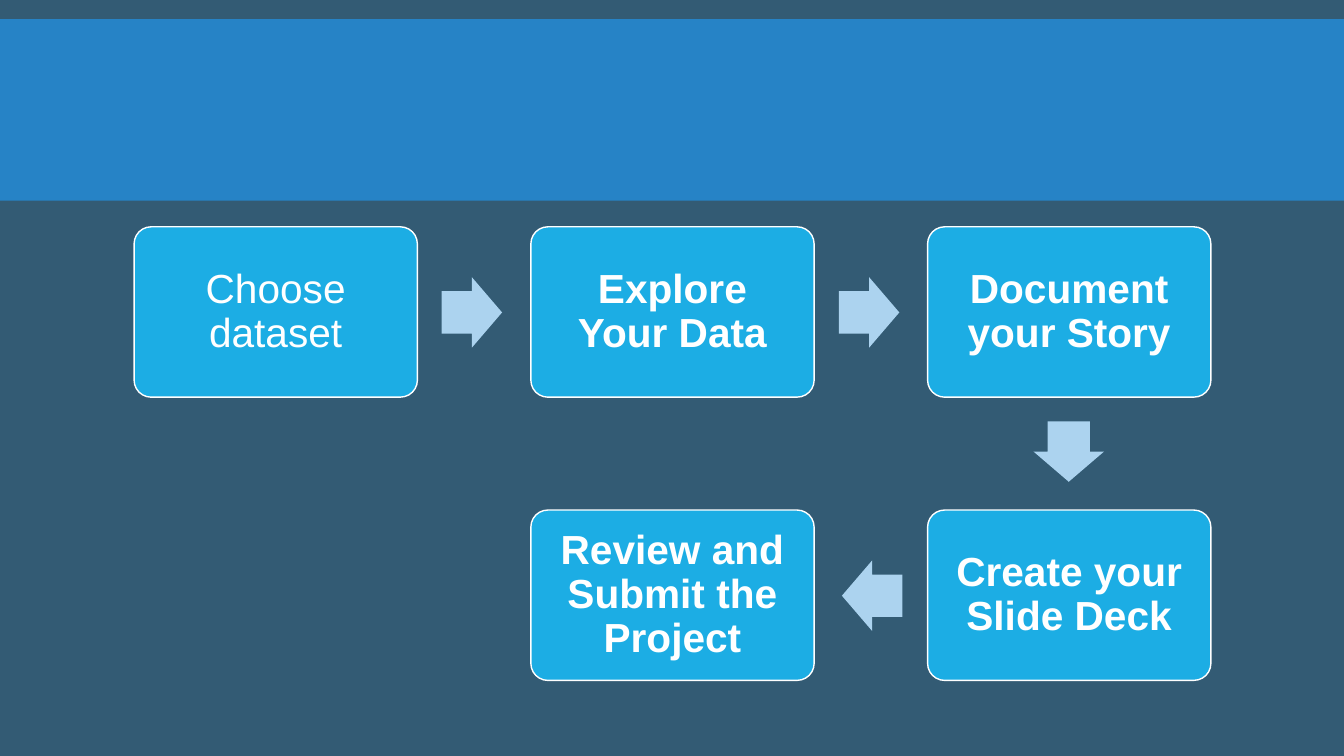
"""Build a slide showing the five steps of a data project as a bending process."""
from dataclasses import dataclass

from pptx import Presentation
from pptx.dml.color import RGBColor
from pptx.enum.shapes import MSO_SHAPE
from pptx.enum.text import MSO_ANCHOR, PP_ALIGN
from pptx.util import Inches, Pt


@dataclass(frozen=True)
class Theme:
    background: RGBColor = RGBColor.from_string("335B74")
    band: RGBColor = RGBColor.from_string("2683C6")
    step: RGBColor = RGBColor.from_string("1CADE4")
    arrow: RGBColor = RGBColor.from_string("ACD3EF")
    light: RGBColor = RGBColor.from_string("FFFFFF")
    font: str = "Arial"
    step_size: Pt = Pt(29)


theme = Theme()

deck = Presentation()
deck.slide_width = Inches(13.33)
deck.slide_height = Inches(7.5)
page = deck.slides.add_slide(deck.slide_layouts[6])
page.background.fill.solid()
page.background.fill.fore_color.rgb = theme.background


def add_filled_shape(kind, left, top, width, height, color):
    """Add a flat shape without outline, measured in inches."""
    shape = page.shapes.add_shape(
        kind, Inches(left), Inches(top), Inches(width), Inches(height)
    )
    shape.shadow.inherit = False
    shape.fill.solid()
    shape.fill.fore_color.rgb = color
    shape.line.fill.background()
    return shape


add_filled_shape(MSO_SHAPE.RECTANGLE, 0, 0.19, 13.33, 1.8, theme.band)

first_left, first_top = 1.33, 2.25
column_pitch, row_pitch = 3.935, 2.81
step_width, step_height = 2.81, 1.69

steps = [
    ("Choose dataset", 0, 0, False),
    ("Explore Your Data", 1, 0, True),
    ("Document your Story", 2, 0, True),
    ("Create your Slide Deck", 2, 1, True),
    ("Review and Submit the Project", 1, 1, True),
]
for label, column, row, bold in steps:
    box = add_filled_shape(
        MSO_SHAPE.ROUNDED_RECTANGLE,
        first_left + column * column_pitch,
        first_top + row * row_pitch,
        step_width,
        step_height,
        theme.step,
    )
    box.adjustments[0] = 0.1
    box.line.color.rgb = theme.light
    box.line.width = Pt(1)
    frame = box.text_frame
    frame.word_wrap = True
    frame.vertical_anchor = MSO_ANCHOR.MIDDLE
    frame.margin_left = frame.margin_right = Inches(0.12)
    frame.margin_top = frame.margin_bottom = Inches(0.12)
    para = frame.paragraphs[0]
    para.text = label
    para.alignment = PP_ALIGN.CENTER
    para.line_spacing = 0.9
    para.font.name = theme.font
    para.font.size = theme.step_size
    para.font.bold = bold
    para.font.color.rgb = theme.light

arrows = [(4.38, 2.75, 0), (8.32, 2.75, 0), (10.3, 4.13, 90), (8.35, 5.56, 180)]
for left, top, rotation in arrows:
    arrow = add_filled_shape(MSO_SHAPE.RIGHT_ARROW, left, top, 0.6, 0.7, theme.arrow)
    arrow.adjustments[0] = 0.6
    arrow.adjustments[1] = 0.5
    arrow.rotation = rotation

deck.save("out.pptx")
